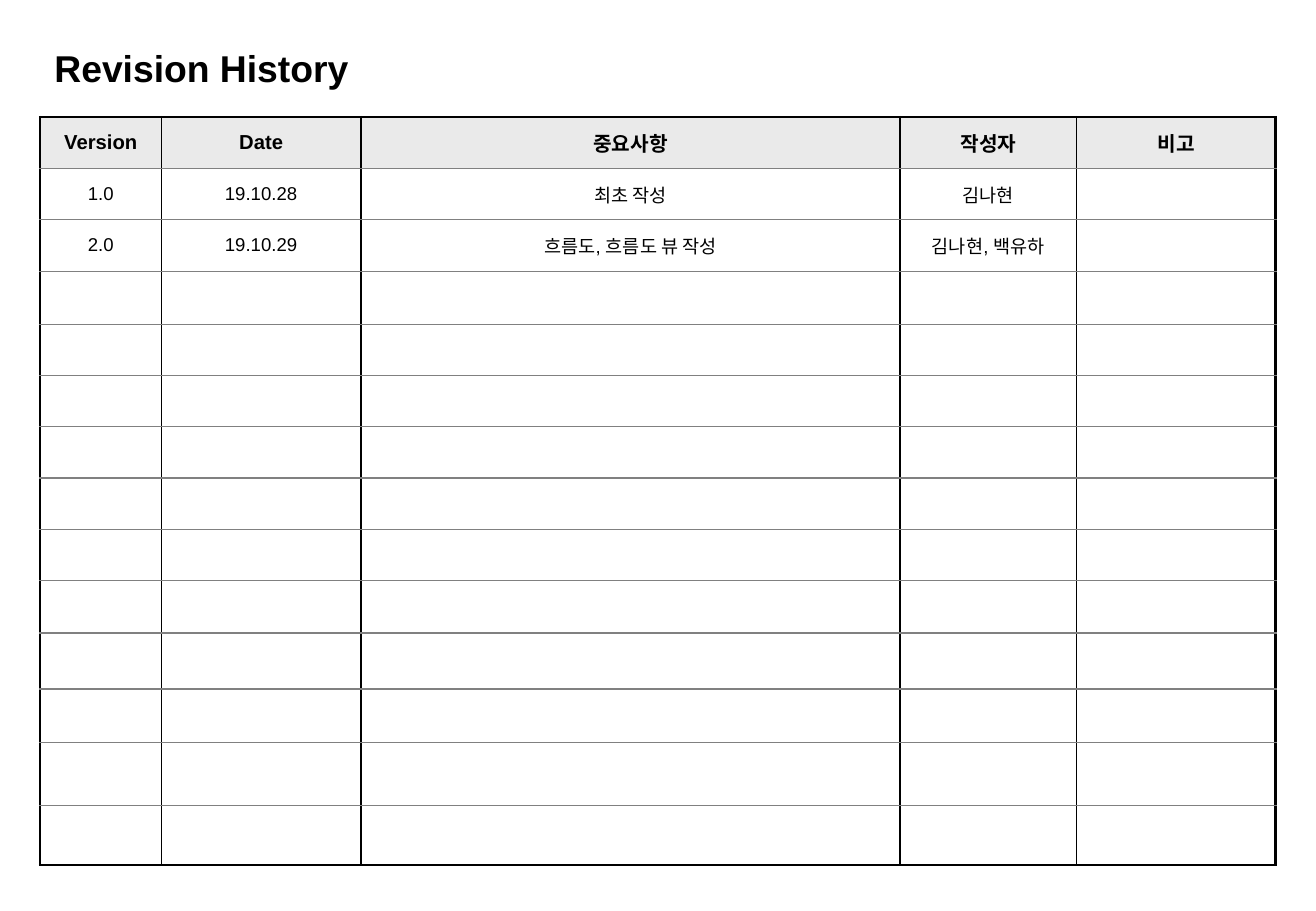
"""Build the Revision History slide."""
from lxml.etree import SubElement
from pptx import Presentation
from pptx.dml.color import RGBColor
from pptx.enum.text import MSO_ANCHOR as Anchor, PP_ALIGN as Align
from pptx.oxml.ns import qn
from pptx.util import Pt

TITLE = "Revision History"
ROWS = [
    ("Version", "Date", "중요사항", "작성자", "비고"),
    ("1.0", "19.10.28", "최초 작성", "김나현", ""),
    ("2.0", "19.10.29", "흐름도, 흐름도 뷰 작성", "김나현, 백유하", ""),
]
COLUMN_WIDTHS = [72, 118.2, 319.7, 104.6, 117.9]
ROW_HEIGHTS = [30.6, 30.4, 30.4, 31.5] + [30.4] * 5 + [31.1, 33.2, 31.5, 37.5, 35.6]
LEFT, TOP = 23.7, 69.3

BLACK = RGBColor(0x00, 0x00, 0x00)
GRAY = RGBColor(0x80, 0x80, 0x80)
HEADER_FILL = RGBColor(0xEA, 0xEA, 0xEA)
FONT = "Arial"
OUTER, INNER, RULE = (BLACK, 1.5), (BLACK, 1), (GRAY, 0.75)


def style_text(paragraph, size, bold):
    font = paragraph.font
    font.name, font.size, font.bold = FONT, Pt(size), bold
    font.color.rgb = BLACK


def set_border(cell, side, color, width):
    properties = cell._tc.get_or_add_tcPr()
    line = SubElement(properties, qn(f"a:ln{side}"), w=str(Pt(width)))
    fill = SubElement(line, qn("a:solidFill"))
    SubElement(fill, qn("a:srgbClr"), val=str(color))


def add_title(slide):
    title = slide.shapes.add_textbox(Pt(LEFT), Pt(26.4), Pt(196.6), Pt(32.4))
    frame = title.text_frame
    frame.word_wrap = False
    frame.vertical_anchor = Anchor.MIDDLE
    frame.margin_left = frame.margin_right = Pt(8.6)
    frame.margin_top = frame.margin_bottom = Pt(4.3)
    paragraph = frame.paragraphs[0]
    paragraph.text = TITLE
    paragraph.line_spacing = 0.8
    style_text(paragraph, 22.1, True)


def add_history(slide):
    row_count, column_count = len(ROW_HEIGHTS), len(COLUMN_WIDTHS)
    history = slide.shapes.add_table(
        row_count, column_count, Pt(LEFT), Pt(TOP),
        Pt(sum(COLUMN_WIDTHS)), Pt(sum(ROW_HEIGHTS))).table
    for column, width in zip(history.columns, COLUMN_WIDTHS):
        column.width = Pt(width)
    for r, height in enumerate(ROW_HEIGHTS):
        history.rows[r].height = Pt(height)
        for c in range(column_count):
            cell = history.cell(r, c)
            borders = {
                "L": OUTER if c == 0 else INNER,
                "R": OUTER if c == column_count - 1 else INNER,
                "T": OUTER if r == 0 else RULE,
                "B": OUTER if r == row_count - 1 else RULE,
            }
            for side, (color, width) in borders.items():
                set_border(cell, side, color, width)
            if r == 0:
                cell.fill.solid()
                cell.fill.fore_color.rgb = HEADER_FILL
            else:
                cell.fill.background()
            cell.vertical_anchor = Anchor.MIDDLE
            cell.margin_left = cell.margin_right = Pt(7.9)
            cell.margin_top = cell.margin_bottom = Pt(4.3)
            paragraph = cell.text_frame.paragraphs[0]
            if r < len(ROWS):
                paragraph.text = ROWS[r][c]
            paragraph.alignment = Align.CENTER
            style_text(paragraph, 12 if r == 0 else 11, r == 0)


def main():
    deck = Presentation()
    deck.slide_width, deck.slide_height = Pt(780), Pt(540)
    slide = deck.slides.add_slide(deck.slide_layouts[6])
    add_title(slide)
    add_history(slide)
    deck.save("out.pptx")


if __name__ == "__main__":
    main()
